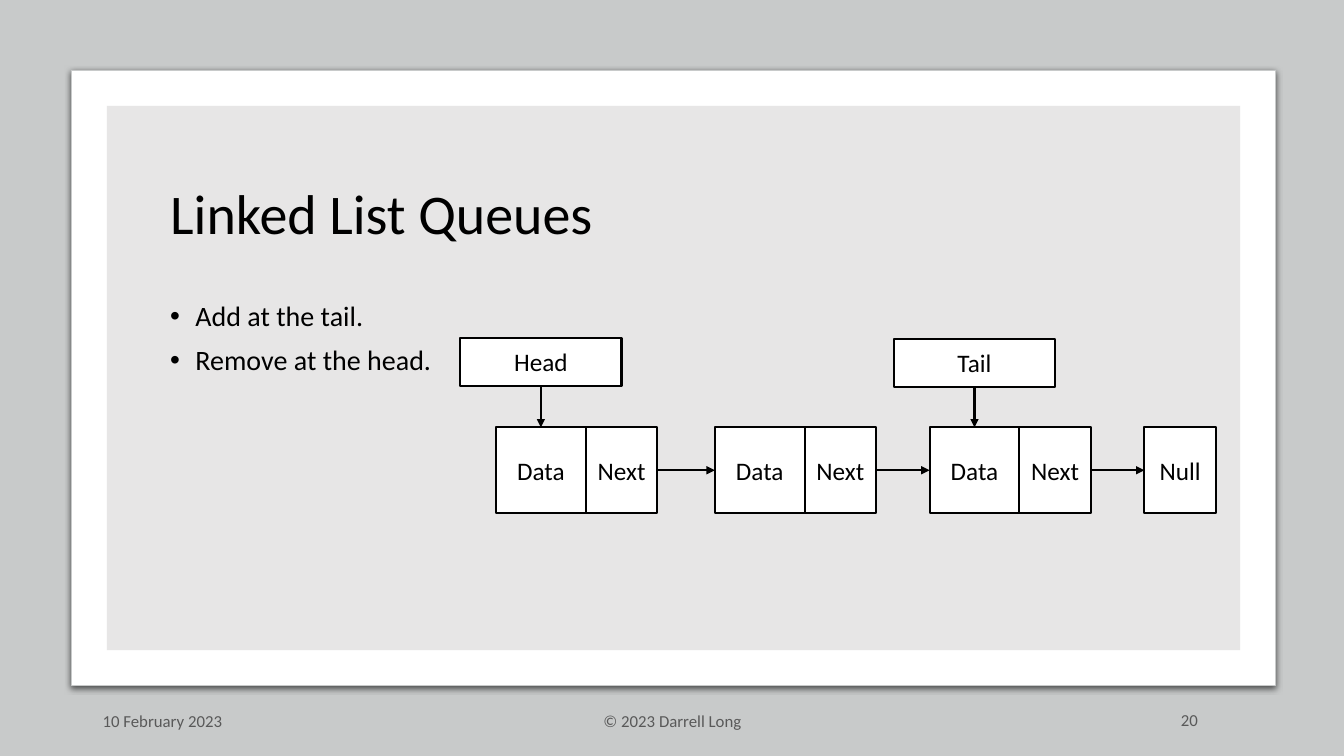
from lxml import etree
from pptx import Presentation
from pptx.dml.color import RGBColor
from pptx.enum.shapes import MSO_CONNECTOR as Connector, MSO_SHAPE as Shape
from pptx.enum.text import MSO_ANCHOR as Anchor, PP_ALIGN as Align
from pptx.oxml import parse_xml
from pptx.oxml.ns import nsdecls, qn
from pptx.util import Inches, Pt

BLACK = RGBColor(0x00, 0x00, 0x00)
WHITE = RGBColor(0xFF, 0xFF, 0xFF)
BACKDROP = RGBColor(0xC8, 0xCA, 0xCA)
PANEL = RGBColor(0xE7, 0xE6, 0xE6)
FOOTER = RGBColor(0x59, 0x59, 0x59)
FONT = "Calibri"

# Linked list geometry, in inches
NODE_TOP, NODE_HEIGHT = 4.24, 0.85
DATA_WIDTH, NEXT_WIDTH = 0.89, 0.71
NODE_LEFTS = (4.92, 7.09, 9.22)
NULL_LEFT = 11.35
POINTER_WIDTH, POINTER_HEIGHT = 1.6, 0.48

TOP, LEFT, BOTTOM, RIGHT = range(4)  # connection sites of a rectangle


def add_run(paragraph, text, size, color):
    run = paragraph.add_run()
    run.text = text
    run.font.name = FONT
    run.font.size = Pt(size)
    run.font.color.rgb = color


def add_block(slide, box, fill, line=None, line_width=1.5, kind=Shape.RECTANGLE):
    block = slide.shapes.add_shape(kind, *map(Inches, box))
    block.shadow.inherit = False
    block.fill.solid()
    block.fill.fore_color.rgb = fill
    if line is None:
        block.line.fill.background()
    else:
        block.line.color.rgb = line
        block.line.width = Pt(line_width)
    return block


def add_cell(slide, label, box):
    cell = add_block(slide, box, WHITE, BLACK)
    frame = cell.text_frame
    frame.margin_left = frame.margin_right = Inches(0.05)
    frame.vertical_anchor = Anchor.MIDDLE
    frame.paragraphs[0].alignment = Align.CENTER
    add_run(frame.paragraphs[0], label, 18, BLACK)
    return cell


def add_node(slide, left):
    data = add_cell(slide, "Data", (left, NODE_TOP, DATA_WIDTH, NODE_HEIGHT))
    following = add_cell(slide, "Next", (left + DATA_WIDTH, NODE_TOP, NEXT_WIDTH, NODE_HEIGHT))
    return data, following


def add_arrow(slide, source, source_site, target, target_site):
    arrow = slide.shapes.add_connector(Connector.STRAIGHT, 0, 0, 0, 0)
    arrow.begin_connect(source, source_site)
    arrow.end_connect(target, target_site)
    arrow.line.color.rgb = BLACK
    arrow.line.width = Pt(1.5)
    etree.SubElement(arrow.line._get_or_add_ln(), qn("a:tailEnd"), type="triangle")
    etree.SubElement(arrow._element.spPr, qn("a:effectLst"))


def add_text(slide, box, lines, size, color, align=Align.LEFT,
             anchor=Anchor.MIDDLE, spacing=1.0, bulleted=False):
    frame = slide.shapes.add_textbox(*map(Inches, box)).text_frame
    frame.word_wrap = True
    frame.vertical_anchor = anchor
    for index, text in enumerate(lines):
        paragraph = frame.add_paragraph() if index else frame.paragraphs[0]
        paragraph.alignment = align
        paragraph.line_spacing = spacing
        if index:
            paragraph.space_before = Pt(10)
        if bulleted:
            add_bullet(paragraph)
        add_run(paragraph, text, size, color)


def add_bullet(paragraph):
    properties = paragraph._p.get_or_add_pPr()
    properties.set("marL", str(Inches(0.25)))
    properties.set("indent", str(Inches(-0.25)))
    etree.SubElement(properties, qn("a:buFont"), typeface="Arial")
    etree.SubElement(properties, qn("a:buChar"), char="•")


def add_card(slide):
    card = add_block(slide, (0.71, 0.7, 11.94, 6.1), WHITE, BACKDROP, 0.75,
                     Shape.ROUNDED_RECTANGLE)
    card.adjustments[0] = 0
    effects = card._element.spPr.find(qn("a:effectLst"))
    effects.append(parse_xml(
        f'<a:outerShdw {nsdecls("a")} blurRad="{Pt(4.5)}" dist="{Pt(1.5)}" '
        'dir="5400000" algn="t" rotWithShape="0"><a:srgbClr val="000000">'
        '<a:alpha val="63000"/></a:srgbClr></a:outerShdw>'))


def add_linked_list(slide):
    null = add_cell(slide, "Null", (NULL_LEFT, NODE_TOP, NEXT_WIDTH, NODE_HEIGHT))
    nodes = [add_node(slide, left) for left in NODE_LEFTS]

    # Each Next cell points to the following node, the last one to Null
    targets = [data for data, _ in nodes[1:]] + [null]
    for (_, following), target in zip(nodes, targets):
        add_arrow(slide, following, RIGHT, target, LEFT)

    # Head and Tail are centred over the Data cells they point to
    for label, top, position in (("Head", 3.35, 0), ("Tail", 3.36, -1)):
        left = NODE_LEFTS[position] + (DATA_WIDTH - POINTER_WIDTH) / 2
        pointer = add_cell(slide, label, (left, top, POINTER_WIDTH, POINTER_HEIGHT))
        add_arrow(slide, pointer, BOTTOM, nodes[position][0], TOP)


def main():
    deck = Presentation()
    deck.slide_width, deck.slide_height = Inches(13.33), Inches(7.5)
    slide = deck.slides.add_slide(deck.slide_layouts[6])

    # Backdrop, framed card and inner panel
    add_block(slide, (0, 0, 13.33, 7.5), BACKDROP)
    add_card(slide)
    add_block(slide, (1.06, 1.05, 11.24, 5.4), PANEL)

    # Title and bullets
    add_text(slide, (1.59, 1.58, 10.23, 1.14), ["Linked List Queues"], 40, BLACK, spacing=0.9)
    add_text(slide, (1.59, 2.95, 4.9, 2.95), ["Add at the tail.", "Remove at the head."],
             20, BLACK, anchor=Anchor.TOP, spacing=0.9, bulleted=True)

    # Footer: date, copyright, page number
    for text, left, width, align, spacing in (
            ("10 February 2023", 0.92, 3, Align.LEFT, 1.0),
            ("© 2023 Darrell Long", 4.42, 4.5, Align.CENTER, 1.0),
            ("20", 9.42, 2.56, Align.RIGHT, 0.9)):
        add_text(slide, (left, 6.95, width, 0.4), [text], 12, FOOTER, align, spacing=spacing)

    # Diagram
    add_linked_list(slide)
    deck.save("out.pptx")


if __name__ == "__main__":
    main()
